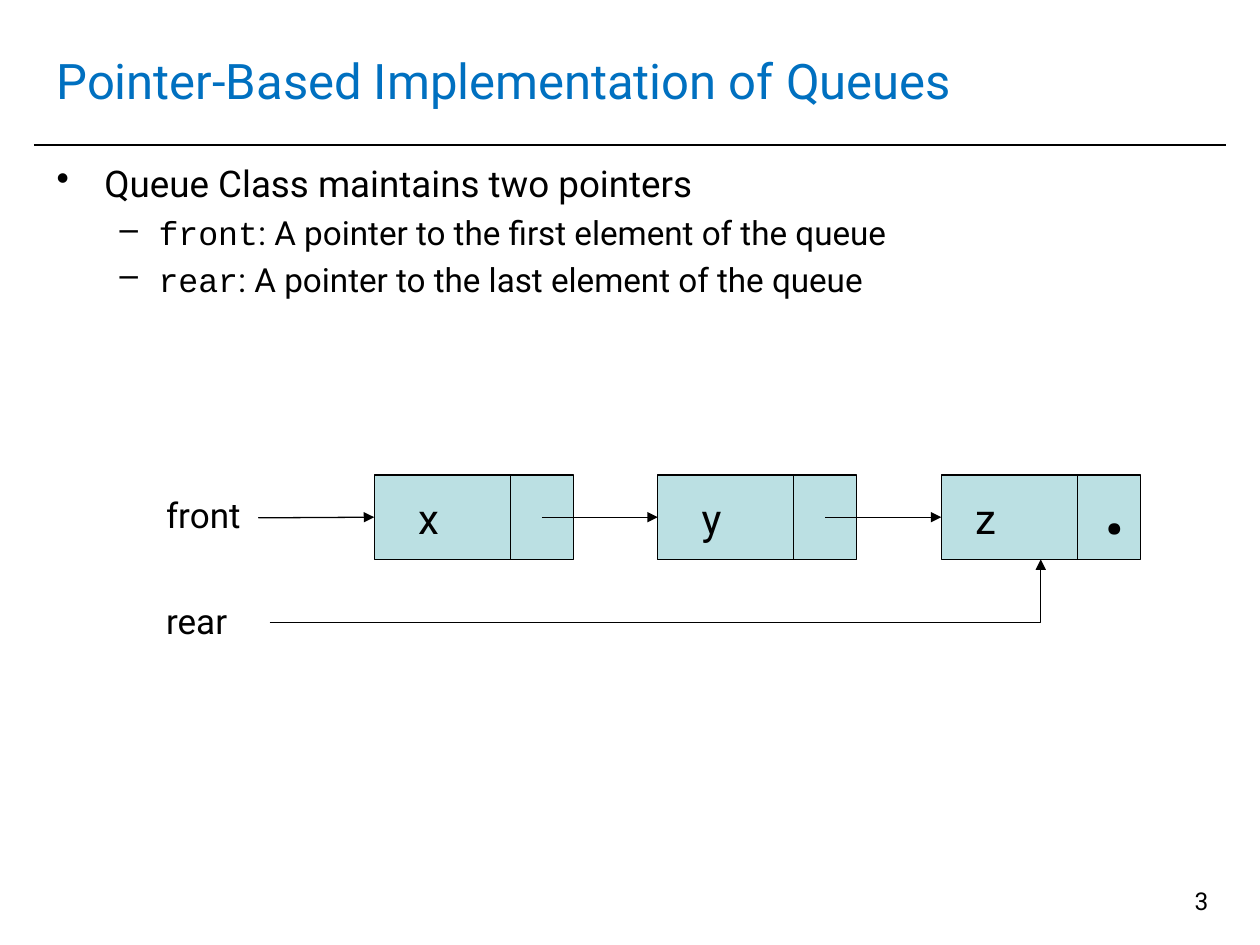
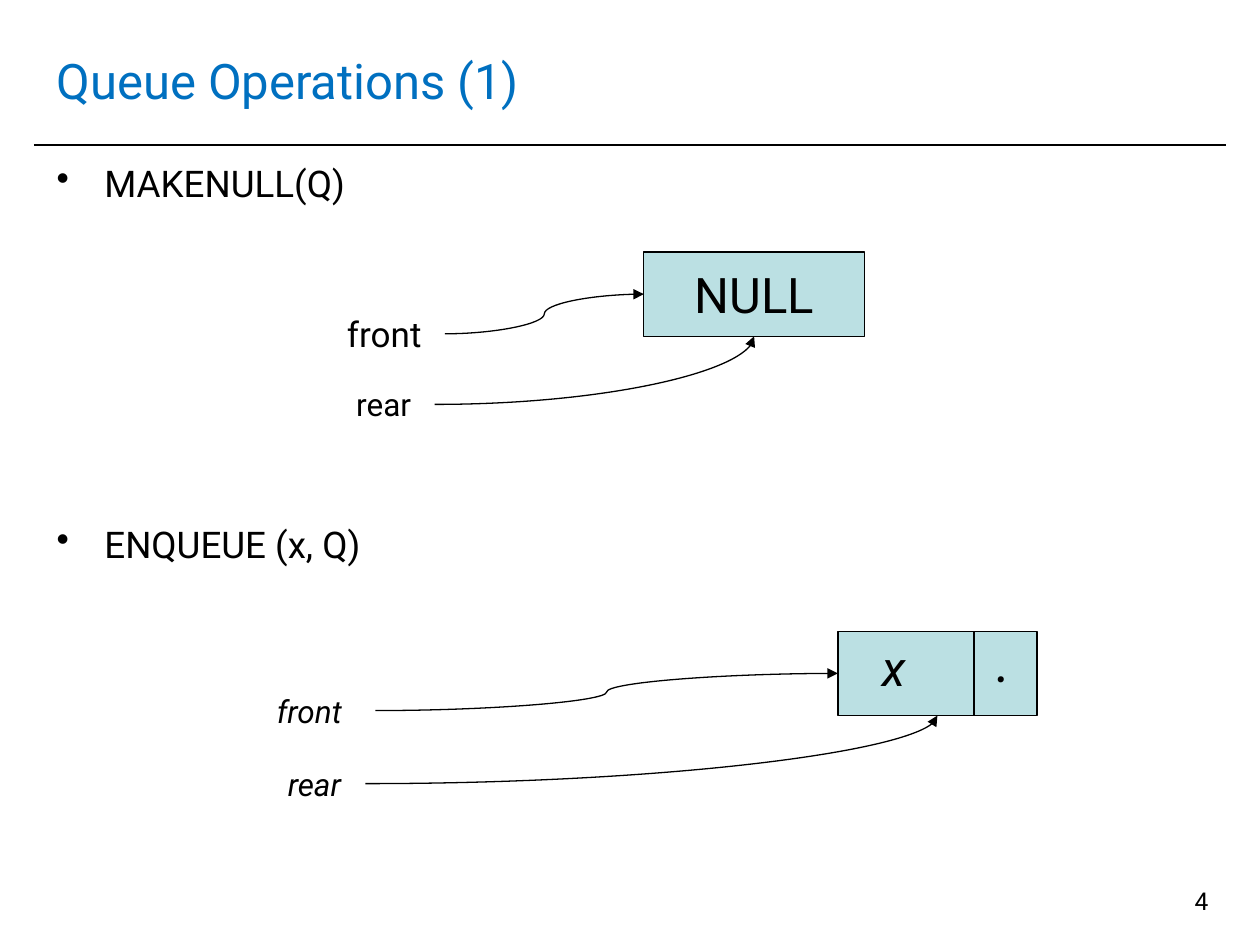
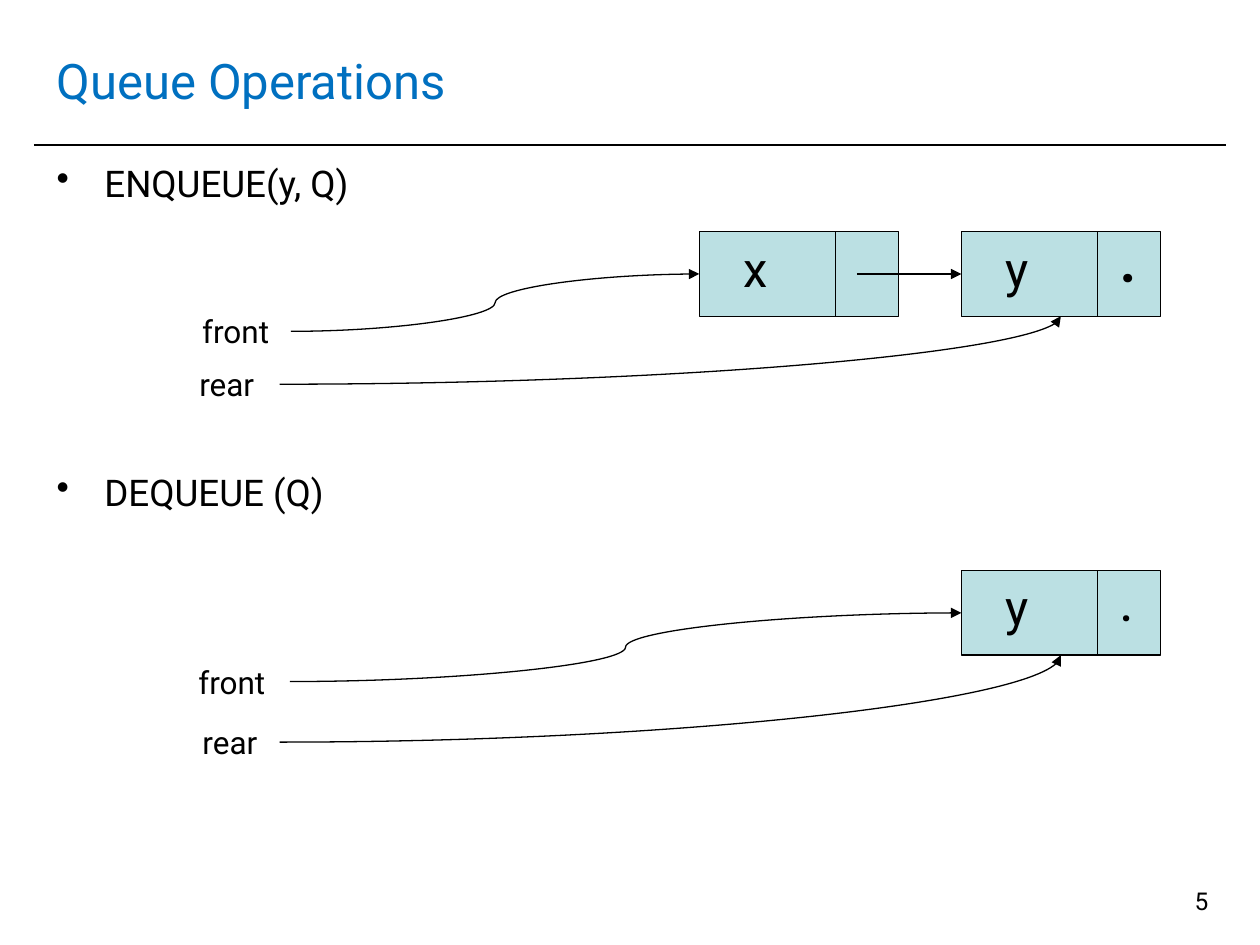
import dataclasses

import lxml.etree
import pptx
import pptx.dml.color
import pptx.enum.shapes
import pptx.enum.text
import pptx.oxml.ns
import pptx.util

Inches = pptx.util.Inches
Pt = pptx.util.Pt
qn = pptx.oxml.ns.qn
ALIGN = pptx.enum.text.PP_ALIGN
ANCHOR = pptx.enum.text.MSO_ANCHOR
CONNECTOR = pptx.enum.shapes.MSO_CONNECTOR
TOP, LEFT, BOTTOM, RIGHT = range(4)


@dataclasses.dataclass(frozen=True)
class Theme:
    font: str = "Roboto"
    code_font: str = "Courier New"
    ink: str = "000000"
    title_color: str = "0070C0"
    node_fill: str = "BBE0E3"
    title_size: int = 28
    body_sizes: tuple = (21, 19)
    number_size: int = 14
    rule_width: float = 1
    line_width: float = 0.75


THEME = Theme()
TITLE_AREA = (0.35, 0.21, 9.29, 0.85)
BODY_AREA = (0.35, 1.23, 9.29, 5.59)
NUMBER_AREA = (7.36, 6.98, 2.33, 0.52)
RULE = ((0.27, 1.15), (9.73, 1.15))
BULLETS = (("•", 0.38, -0.38), ("–", 0.81, -0.31))
NODE_WIDTH, NODE_HEIGHT, DIVIDER = 1.58, 0.67, 1.08
NULL_WIDTH = 1.75

SMALL_VALUE = {"shift": (0.25, 0.09), "width": 0.5, "size": 24}
LARGE_VALUE = {"shift": (0.25, 0), "width": 0.33, "size": 28}
DOT = {"shift": (1.16, -0.09), "width": 0.33, "size": 32}
BIG_DOT = {"shift": (1.17, -0.41), "width": 0.33, "size": 60}

SLIDES = [
    {
        "title": "Pointer-Based Implementation of Queues",
        "body": [
            (0, 0, [("Queue Class maintains two pointers", THEME.font)]),
            (1, 4, [("front", THEME.code_font),
                    (": A pointer to the first element of the queue", THEME.font)]),
            (1, 4, [("rear", THEME.code_font),
                    (": A pointer to the last element of the queue", THEME.font)]),
        ],
        "nodes": {
            "x": (2.97, 3.77, [("x", SMALL_VALUE)]),
            "y": (5.22, 3.77, [("y", SMALL_VALUE)]),
            "z": (7.47, 3.77, [("z", SMALL_VALUE | {"shift": (0.17, 0.09)}), (".", BIG_DOT)]),
        },
        "links": [("x", "y", 1.33), ("y", "z", 1.33)],
        "pointers": [
            {"label": "front", "area": (1.22, 3.87, 1, 0.44), "size": 20, "align": ALIGN.LEFT,
             "start": (2.05, 4.11), "target": "x", "side": LEFT, "kind": CONNECTOR.STRAIGHT},
            {"label": "rear", "area": (1.22, 4.71, 1, 0.44), "size": 20, "align": ALIGN.LEFT,
             "start": (2.14, 4.94), "target": "z", "side": BOTTOM, "kind": CONNECTOR.ELBOW},
        ],
    },
    {
        "title": "Queue Operations (1)",
        "body": [
            (0, 0, [("MAKENULL(Q)", THEME.font)]),
            (0, 181, [("ENQUEUE (x, Q)", THEME.font)]),
        ],
        "nodes": {
            "null": (5.11, 2, "NULL"),
            "x": (6.65, 5.01, [("x", LARGE_VALUE | {"italic": True}),
                               (".", DOT | {"italic": True})]),
        },
        "links": [],
        "pointers": [
            {"label": "front", "area": (2.57, 2.43, 0.96, 0.44), "size": 20,
             "target": "null", "side": LEFT},
            {"label": "rear", "area": (2.64, 3.01, 0.81, 0.4),
             "target": "null", "side": BOTTOM},
            {"label": "front", "area": (1.93, 5.44, 1.05, 0.4), "italic": True,
             "target": "x", "side": LEFT},
            {"label": "rear", "area": (2.09, 6.02, 0.81, 0.4), "italic": True,
             "target": "x", "side": BOTTOM},
        ],
    },
    {
        "title": "Queue Operations",
        "body": [
            (0, 0, [("ENQUEUE(y, Q)", THEME.font)]),
            (0, 151.4, [("DEQUEUE (Q)", THEME.font)]),
        ],
        "nodes": {
            "x": (5.55, 1.84, [("x", LARGE_VALUE)]),
            "y": (7.63, 1.84, [("y", LARGE_VALUE), (".", DOT | {"bold": True})]),
            "remaining y": (7.63, 4.53, [("y", LARGE_VALUE), (".", DOT)]),
        },
        "links": [("x", "y", 1.25)],
        "pointers": [
            {"label": "front", "area": (1.43, 2.43, 0.88, 0.4), "target": "y", "side": LEFT}
            | {"target": "x"},
            {"label": "rear", "area": (1.38, 2.85, 0.84, 0.4), "target": "y", "side": BOTTOM},
            {"label": "front", "area": (1.38, 5.21, 0.92, 0.4),
             "target": "remaining y", "side": LEFT},
            {"label": "rear", "area": (1.43, 5.69, 0.79, 0.4),
             "target": "remaining y", "side": BOTTOM},
        ],
    },
]
SLIDES[2]["pointers"][0] = {"label": "front", "area": (1.43, 2.43, 0.88, 0.4),
                            "target": "x", "side": LEFT}


def rgb(color):
    return pptx.dml.color.RGBColor.from_string(color)


def add_run(paragraph, text, size, color=THEME.ink, **formats):
    run = paragraph.add_run()
    run.text = text
    run.font.color.rgb = rgb(color)
    for name, value in ({"name": THEME.font, "size": Pt(size)} | formats).items():
        setattr(run.font, name, value)


def add_text(slide, area, text, size, align=ALIGN.LEFT, anchor=ANCHOR.TOP, **formats):
    box = slide.shapes.add_textbox(*map(Inches, area))
    frame = box.text_frame
    for name, value in {"word_wrap": True, "vertical_anchor": anchor}.items():
        setattr(frame, name, value)
    paragraph = frame.paragraphs[0]
    paragraph.alignment = align
    add_run(paragraph, text, size, **formats)
    return box


def add_line(slide, start, end, kind=CONNECTOR.STRAIGHT, arrow=False, width=THEME.line_width):
    line = slide.shapes.add_connector(kind, *map(Inches, (*start, *end)))
    line.line.color.rgb = rgb(THEME.ink)
    line.line.width = Pt(width)
    properties = line.element.spPr
    if arrow:
        outline = properties.find(qn("a:ln"))
        lxml.etree.SubElement(outline, qn("a:tailEnd"), type="triangle")
    lxml.etree.SubElement(properties, qn("a:effectLst"))
    return line


def add_body(slide, items):
    frame = slide.shapes.add_textbox(*map(Inches, BODY_AREA)).text_frame
    frame.word_wrap = True
    for index, (level, space, runs) in enumerate(items):
        paragraph = frame.add_paragraph() if index else frame.paragraphs[0]
        paragraph.level = level
        paragraph.space_before = Pt(space)
        mark, margin, indent = BULLETS[level]
        properties = paragraph._p.get_or_add_pPr()
        for name, value in {"marL": margin, "indent": indent}.items():
            properties.set(name, str(Inches(value)))
        lxml.etree.SubElement(properties, qn("a:buChar"), char=mark)
        for text, font in runs:
            add_run(paragraph, text, THEME.body_sizes[level], name=font)


def add_node(slide, left, top, content):
    is_null = isinstance(content, str)
    width = NULL_WIDTH if is_null else NODE_WIDTH
    node = slide.shapes.add_shape(pptx.enum.shapes.MSO_SHAPE.RECTANGLE,
                                  *map(Inches, (left, top, width, NODE_HEIGHT)))
    node.shadow.inherit = False
    node.fill.solid()
    node.fill.fore_color.rgb = rgb(THEME.node_fill)
    node.line.color.rgb = rgb(THEME.ink)
    node.line.width = Pt(THEME.line_width)
    if is_null:
        node.text_frame.word_wrap = False
        paragraph = node.text_frame.paragraphs[0]
        paragraph.alignment = ALIGN.CENTER
        add_run(paragraph, content, LARGE_VALUE["size"])
        return node
    add_line(slide, (left + DIVIDER, top), (left + DIVIDER, top + NODE_HEIGHT))
    for text, style in content:
        formats = dict(style)
        shift_x, shift_y = formats.pop("shift")
        area = (left + shift_x, top + shift_y, formats.pop("width"), 0.5)
        add_text(slide, area, text, **formats)
    return node


def side_point(node, side):
    x = node.left if side == LEFT else node.left + node.width / 2
    y = node.top + node.height / 2 if side == LEFT else node.top + node.height
    return x / Inches(1), y / Inches(1)


def add_pointer(slide, nodes, label, area, target, side, size=18, align=ALIGN.CENTER,
                start=None, kind=CONNECTOR.CURVE, **formats):
    box = add_text(slide, area, label, size, align, **formats)
    left, top, width, height = area
    origin = start or (left + width, top + height / 2)
    line = add_line(slide, origin, side_point(nodes[target], side), kind, arrow=True)
    if not start:
        line.begin_connect(box, RIGHT)
    line.end_connect(nodes[target], side)
    if side == BOTTOM:
        geometry = line.element.spPr.find(qn("a:prstGeom"))
        geometry.set("prst", geometry.get("prst").replace("3", "2"))


def add_slide(presentation, number, content):
    slide = presentation.slides.add_slide(presentation.slide_layouts[6])
    add_line(slide, *RULE, width=THEME.rule_width)
    add_text(slide, TITLE_AREA, content["title"], THEME.title_size,
             anchor=ANCHOR.MIDDLE, color=THEME.title_color)
    add_body(slide, content["body"])
    nodes = {name: add_node(slide, *node) for name, node in content["nodes"].items()}
    for source, target, offset in content["links"]:
        left, top, _ = content["nodes"][source]
        line = add_line(slide, (left + offset, top + NODE_HEIGHT / 2),
                        side_point(nodes[target], LEFT), arrow=True)
        line.end_connect(nodes[target], LEFT)
    for pointer in content["pointers"]:
        add_pointer(slide, nodes, **pointer)
    add_text(slide, NUMBER_AREA, str(number), THEME.number_size, ALIGN.RIGHT)


def main():
    presentation = pptx.Presentation()
    presentation.slide_width = Inches(10)
    presentation.slide_height = Inches(7.5)
    for number, content in enumerate(SLIDES, start=3):
        add_slide(presentation, number, content)
    presentation.save("out.pptx")


if __name__ == "__main__":
    main()
